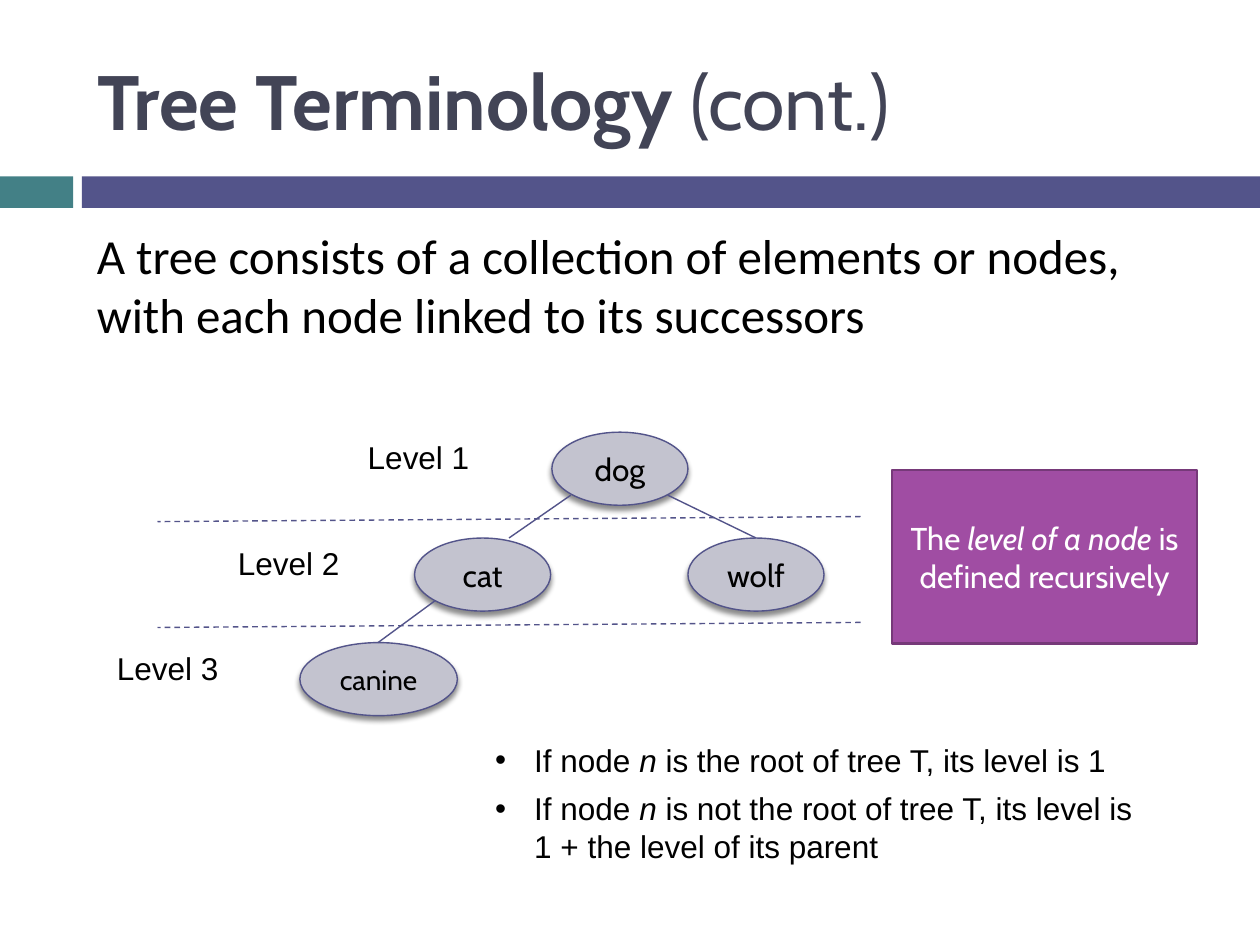
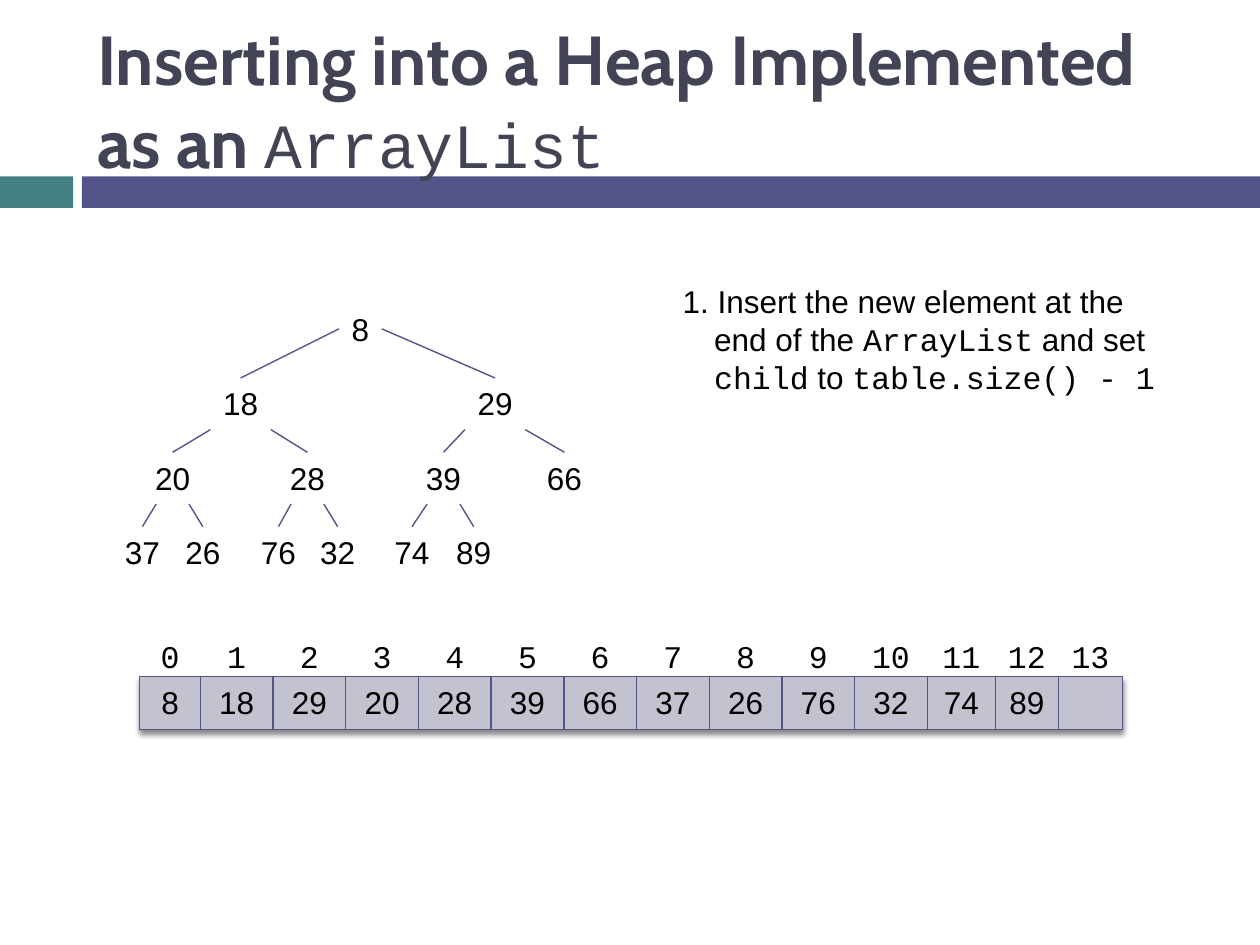
from lxml.etree import SubElement
from pptx import Presentation
from pptx.dml.color import RGBColor
from pptx.enum.dml import MSO_LINE as Dash
from pptx.enum.shapes import MSO_CONNECTOR as Link, MSO_SHAPE as Kind
from pptx.enum.text import MSO_ANCHOR as Anchor, MSO_AUTO_SIZE as Fit, PP_ALIGN as Align
from pptx.oxml.ns import qn
from pptx.util import Inches, Pt

TEAL = RGBColor(0x43, 0x80, 0x86)
INDIGO = RGBColor(0x53, 0x54, 0x8A)
SLATE = RGBColor(0x42, 0x44, 0x56)
GREY = RGBColor(0xC3, 0xC3, 0xCF)
PURPLE = RGBColor(0xA0, 0x4D, 0xA3)
PLUM = RGBColor(0x76, 0x39, 0x79)
BLACK = RGBColor(0, 0, 0)
WHITE = RGBColor(255, 255, 255)

HEAD, SANS, LEAD, MONO = "Cabin", "Arial", "Calibri", "Courier New"
ITALIC = {"italic": True}
CODE = {"name": MONO}
THIN = 0.79

HEAP = [8, 18, 29, 20, 28, 39, 66, 37, 26, 76, 32, 74, 89]
# Centre of each heap node, in the order of HEAP
SPOTS = [2.86, 1.91, 3.93, 1.37, 2.44, 3.52, 4.48,
         1.13, 1.61, 2.21, 2.68, 3.27, 3.76]
# Where a link leaves its parent: offset from centre and top, per level
EXITS = [(0.17, 0.2), (0.24, 0.41), (0.13, 0.41)]


def write(para, parts, font=SANS, size=18, color=BLACK, align=Align.LEFT):
    """Fill a paragraph; a part is a text or a (text, font settings) pair."""
    para.alignment = align
    para.font.name, para.font.size = font, Pt(size)
    para.font.color.rgb = color
    for part in parts:
        text, style = (part, {}) if isinstance(part, str) else part
        for row, line in enumerate(text.split("\n")):
            if row:
                para.add_line_break()
            run = para.add_run()
            run.text = line
            for key, value in style.items():
                setattr(run.font, key, value)


def indent(para, size):
    props = para._p.get_or_add_pPr()
    props.set("marL", str(Inches(size)))
    props.set("indent", str(-Inches(size)))


def place(shape, *box):
    shape.left, shape.top, shape.width, shape.height = map(Inches, box)


def add_text(slide, box, parts, wrap=True, **style):
    frame = slide.shapes.add_textbox(*map(Inches, box)).text_frame
    frame.word_wrap = wrap
    para = frame.paragraphs[0]
    write(para, parts, **style)
    return para


def add_label(slide, mid, top, text, font=SANS):
    """Add a short text centred on mid."""
    add_text(slide, (mid - 0.25, top, 0.5, 0.4), [text], False,
             font=font, align=Align.CENTER)


def add_block(slide, kind, box, fill, line=None, width=THIN):
    shape = slide.shapes.add_shape(kind, *map(Inches, box))
    shape.shadow.inherit = False
    shape.fill.solid()
    shape.fill.fore_color.rgb = fill
    if line is None:
        shape.line.fill.background()
    else:
        shape.line.color.rgb = line
        shape.line.width = Pt(width)
    return shape


def fill_block(shape, parts, **style):
    frame = shape.text_frame
    frame.vertical_anchor = Anchor.MIDDLE
    write(frame.paragraphs[0], parts, align=Align.CENTER, font=HEAD, **style)


def cast(shape):
    """Give a shape a soft shadow straight below it."""
    effects = shape._element.spPr.find(qn("a:effectLst"))
    outer = SubElement(effects, qn("a:outerShdw"), blurRad=str(Pt(3)),
                       dist=str(Pt(2.4)), dir="5400000", rotWithShape="0")
    tint = SubElement(outer, qn("a:srgbClr"), val=str(BLACK))
    SubElement(tint, qn("a:alpha"), val="45000")


def add_line(slide, start, end, dash=None):
    line = slide.shapes.add_connector(Link.STRAIGHT, *map(Inches, start + end))
    line.line.color.rgb = INDIGO
    line.line.width = Pt(THIN)
    if dash:
        line.line.dash_style = dash
    SubElement(line._element.spPr, qn("a:effectLst"))


def add_bands(deck, slide):
    """Draw the two bands and move them to the master that all slides share."""
    tree = deck.slide_master.shapes._spTree
    for num, (left, width, color) in enumerate([(0, 0.58, TEAL), (0.65, 9.35, INDIGO)]):
        band = add_block(slide, Kind.RECTANGLE, (left, 1.4, width, 0.25), color)
        band._element.nvSpPr.cNvPr.set("id", str(20 + num))
        tree.insert(2 + num, band._element)


def add_title(slide, parts, size):
    title = slide.shapes.title
    place(title, 0.67, 0.25, 8.92, 1.08)
    frame = title.text_frame
    frame.auto_size = Fit.NONE
    frame.vertical_anchor = Anchor.MIDDLE
    write(frame.paragraphs[0], parts, font=HEAD, size=size, color=SLATE)


def add_list(slide, box, items):
    body = slide.placeholders[1]
    place(body, *box)
    frame = body.text_frame
    frame.auto_size = Fit.NONE
    for num, parts in enumerate(items):
        para = frame.add_paragraph() if num else frame.paragraphs[0]
        write(para, parts)
        para.space_before, para.space_after = Pt(0), Pt(6)
        indent(para, 0.31)


def add_words(slide):
    """Draw the tree of words with its levels."""
    tops = [3.43, 4.27, 5.1]
    nodes = [("dog", 4.38, 0, 1.08, 18), ("cat", 3.29, 1, 1.08, 18),
             ("wolf", 5.46, 1, 1.08, 18), ("canine", 2.38, 2, 1.25, 16)]
    for word, left, level, width, size in nodes:
        node = add_block(slide, Kind.OVAL, (left, tops[level], width, 0.58), GREY, INDIGO)
        cast(node)
        fill_block(node, [word], size=size)
    for start, end in [((4.53, 3.93), (4.04, 4.27)), ((5.3, 3.93), (6, 4.27)),
                       ((3.45, 4.77), (3, 5.1))]:
        add_line(slide, start, end)
    for num, left in enumerate([2.82, 1.79, 0.83]):
        add_text(slide, (left, tops[num], 1.02, 0.4), [f"Level {num + 1}"], False)
    for top in (4.1, 4.94):
        add_line(slide, (6.83, top), (1.25, top + 0.04), Dash.DASH)


def add_heap(slide):
    """Draw HEAP as a binary tree: the parent of node n is (n - 1) // 2."""
    for num, (value, mid) in enumerate(zip(HEAP, SPOTS)):
        level = (num + 1).bit_length() - 1
        top = 2.41 + 0.59 * level
        add_label(slide, mid, top, str(value))
        if num:
            side, drop = EXITS[level - 1]
            root = SPOTS[(num - 1) // 2]
            turn = side if mid > root else -side
            add_line(slide, (root + turn, top - 0.59 + drop), (mid, top))


def add_array(slide):
    """Draw HEAP as a row of cells, with one free cell at the end."""
    edges = [1.11] + [1.59 + 0.577 * num for num in range(11)] + [7.9, 8.4, 8.91]
    top, tall = 5.37, 0.42
    cast(add_block(slide, Kind.RECTANGLE, (1.11, top, 7.8, tall), GREY, INDIGO))
    for edge in edges[1:-1]:
        add_line(slide, (edge, top), (edge, top + tall))
    for num, (left, right) in enumerate(zip(edges, edges[1:])):
        mid = (left + right) / 2
        add_label(slide, mid, 5.01, str(num), MONO)
        if num < len(HEAP):
            add_label(slide, mid, top, str(HEAP[num]))


def add_terms(slide):
    add_title(slide, [("Tree Terminology ", {"bold": True}), "(cont.)"], 44)
    add_text(slide, (0.67, 1.74, 8.67, 1.04),
             ["A tree consists of a collection of elements or nodes, "
              "with each node linked to its successors"], font=LEAD, size=28)
    add_words(slide)
    note = add_block(slide, Kind.RECTANGLE, (7.08, 3.73, 2.42, 1.38), PURPLE, PLUM, 1.5)
    fill_block(note, ["The ", ("level of a node", ITALIC), " is defined recursively"],
               color=WHITE)
    add_list(slide, (3.83, 5.83, 5.5, 1.09), [
        ["If node ", ("n", ITALIC), " is the root of tree T, its level is 1"],
        ["If node ", ("n", ITALIC),
         " is not the root of tree T, its level is \n1 + the level of its parent"]])


def add_insert(slide):
    add_title(slide, [("Inserting into a Heap Implemented as an ", {"bold": True}),
                      ("ArrayList", {"name": MONO, "size": Pt(36)})], 39.6)
    add_heap(slide)
    add_array(slide)
    step = add_text(slide, (5.32, 2.19, 4.16, 1.01), [
        "1. Insert the new element at the end of the ", ("ArrayList", CODE),
        " and set ", ("child", CODE), " to ", ("table.size() - 1", CODE)])
    indent(step, 0.25)


def main():
    deck = Presentation()
    deck.slide_width, deck.slide_height = Inches(10), Inches(7.5)
    terms = deck.slides.add_slide(deck.slide_layouts[1])
    add_bands(deck, terms)
    add_terms(terms)
    add_insert(deck.slides.add_slide(deck.slide_layouts[5]))
    deck.save("out.pptx")


if __name__ == "__main__":
    main()
